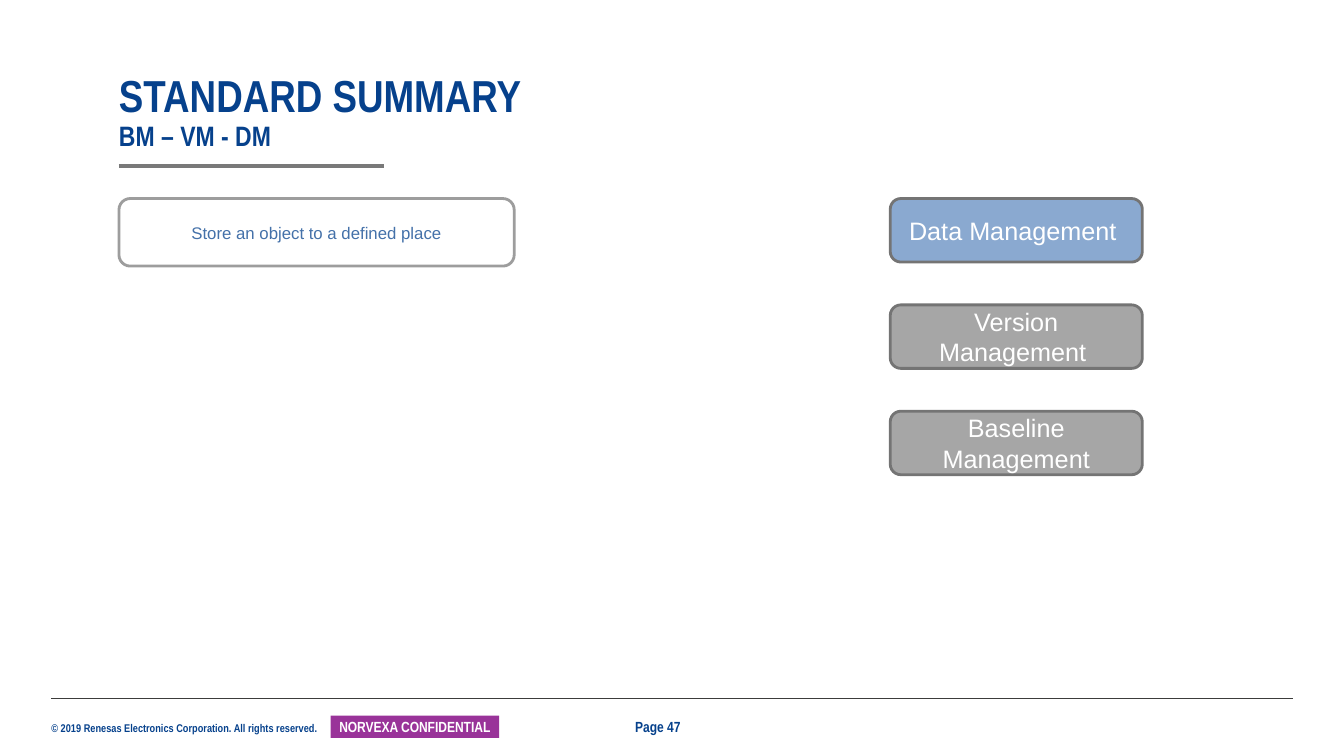
from dataclasses import dataclass

from lxml.etree import SubElement
from pptx import Presentation
from pptx.dml.color import RGBColor
from pptx.enum.shapes import MSO_CONNECTOR, MSO_SHAPE
from pptx.enum.text import MSO_ANCHOR, MSO_AUTO_SIZE, PP_ALIGN
from pptx.oxml.ns import qn
from pptx.util import Inches, Pt


@dataclass(frozen=True)
class Theme:
    heading_font: str = "Arial Narrow"
    body_font: str = "Arial"
    navy: str = "06418C"
    white: str = "FFFFFF"
    purple: str = "993399"
    active_fill: str = "8AA9D0"
    idle_fill: str = "A6A6A6"
    topic_line: str = "747474"
    note_line: str = "9D9D9D"
    note_text: str = "4471A9"
    title_rule: str = "797979"
    footer_rule: str = "3C3C3B"
    title_size: float = 32
    subtitle_size: float = 20
    topic_size: float = 18
    note_size: float = 12
    footer_size: float = 10.5
    copyright_size: float = 8


THEME = Theme()


def rgb(value):
    return RGBColor.from_string(value)


def style_run(r, font, size, color, bold=False):
    r.font.name = font
    r.font.size = Pt(size)
    r.font.color.rgb = rgb(color)
    r.font.bold = bold


def set_margins(tf, side=0, top=0):
    tf.margin_left = tf.margin_right = Inches(side)
    tf.margin_top = tf.margin_bottom = Inches(top)


def add_rule(slide, left, right, y, color, width):
    line = slide.shapes.add_connector(
        MSO_CONNECTOR.STRAIGHT, Inches(left), Inches(y), Inches(right), Inches(y))
    line.line.color.rgb = rgb(color)
    line.line.width = Pt(width)
    SubElement(line._element.spPr, qn("a:effectLst"))


def add_box(slide, preset, box, text, fill, line=None):
    """Add a filled shape with centred text and return it for styling."""
    sp = slide.shapes.add_shape(preset, *map(Inches, box))
    sp.shadow.inherit = False
    sp.fill.solid()
    sp.fill.fore_color.rgb = rgb(fill)
    if line:
        sp.line.color.rgb = rgb(line)
        sp.line.width = Pt(2)
    else:
        sp.line.fill.background()
    tf = sp.text_frame
    tf.text = text
    tf.word_wrap = True
    tf.vertical_anchor = MSO_ANCHOR.MIDDLE
    tf.paragraphs[0].alignment = PP_ALIGN.CENTER
    return sp


def add_card(slide, box, text, fill, line, size, color):
    sp = add_box(slide, MSO_SHAPE.ROUNDED_RECTANGLE, box, text, fill, line)
    style_run(sp.text_frame.paragraphs[0].runs[0], THEME.body_font, size, color)


def add_footer_text(slide, box, text, size, anchor, wrap):
    tf = slide.shapes.add_textbox(*map(Inches, box)).text_frame
    set_margins(tf)
    tf.text = text
    tf.word_wrap = wrap
    tf.auto_size = MSO_AUTO_SIZE.SHAPE_TO_FIT_TEXT
    tf.vertical_anchor = anchor
    style_run(tf.paragraphs[0].runs[0], THEME.heading_font, size, THEME.navy, True)


def add_footer(slide):
    add_rule(slide, 0.51, 12.82, 6.93, THEME.footer_rule, 0.5)
    add_footer_text(slide, (0.51, 7.16, 2.75, 0.13),
                    "© 2019 Renesas Electronics Corporation. All rights reserved.",
                    THEME.copyright_size, MSO_ANCHOR.TOP, False)
    badge = add_box(slide, MSO_SHAPE.RECTANGLE, (3.28, 7.1, 1.67, 0.22),
                    "NORVEXA CONFIDENTIAL", THEME.purple)
    set_margins(badge.text_frame, side=0.04)
    style_run(badge.text_frame.paragraphs[0].runs[0], THEME.heading_font,
              THEME.footer_size, THEME.white, True)
    add_footer_text(slide, (6.3, 7.12, 0.73, 0.18), "Page 47",
                    THEME.footer_size, MSO_ANCHOR.MIDDLE, True)


def set_title(slide, heading, subtitle):
    title = slide.shapes.title
    title.left, title.top, title.width, title.height = map(
        Inches, (1.18, 0.72, 9.84, 0.79))
    tf = title.text_frame
    set_margins(tf)
    tf.text = f"{heading}\v{subtitle}"
    tf.word_wrap = True
    tf.auto_size = MSO_AUTO_SIZE.SHAPE_TO_FIT_TEXT
    tf.vertical_anchor = MSO_ANCHOR.BOTTOM
    p = tf.paragraphs[0]
    p.alignment = PP_ALIGN.LEFT
    p.line_spacing = 0.9
    for r, size in zip(p.runs, (THEME.title_size, THEME.subtitle_size)):
        style_run(r, THEME.heading_font, size, THEME.navy, True)
    add_rule(slide, 1.18, 3.81, 1.65, THEME.title_rule, 3)


def add_topics(slide):
    topics = [
        ("Data Management ", THEME.active_fill),
        ("Version Management ", THEME.idle_fill),
        ("Baseline Management", THEME.idle_fill),
    ]
    top, pitch = 1.97, 1.055
    for i, (text, fill) in enumerate(topics):
        add_card(slide, (8.83, top + i * pitch, 2.5, 0.63), text, fill,
                 THEME.topic_line, THEME.topic_size, THEME.white)


def main():
    prs = Presentation()
    prs.slide_width, prs.slide_height = Inches(13.33), Inches(7.5)
    slide = prs.slides.add_slide(prs.slide_layouts[5])
    add_footer(slide)
    set_title(slide, "STANDARD SUMMARY", "BM – VM - DM")
    add_topics(slide)
    add_card(slide, (1.18, 1.97, 3.92, 0.67), "Store an object to a defined place",
             THEME.white, THEME.note_line, THEME.note_size, THEME.note_text)
    prs.save("out.pptx")


if __name__ == "__main__":
    main()
